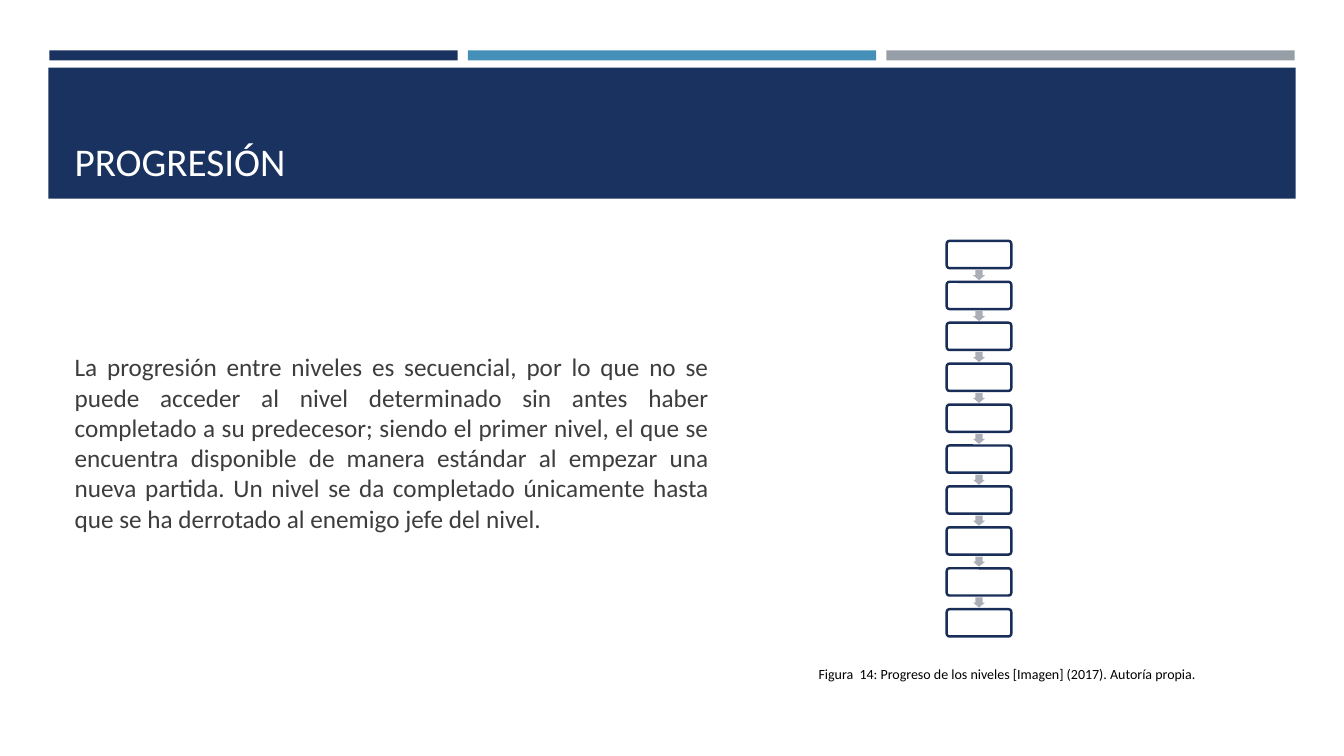
from pptx import Presentation
from pptx.dml.color import RGBColor
from pptx.enum.shapes import MSO_SHAPE
from pptx.enum.text import MSO_ANCHOR, MSO_AUTO_SIZE, PP_ALIGN
from pptx.oxml import parse_xml
from pptx.oxml.ns import nsdecls
from pptx.util import Inches, Pt

# Content
TITLE = "PROGRESIÓN"
BODY = (
    "La progresión entre niveles es secuencial, por lo que no se puede "
    "acceder al nivel determinado sin antes haber completado a su predecesor; "
    "siendo el primer nivel, el que se encuentra disponible de manera estándar "
    "al empezar una nueva partida. Un nivel se da completado únicamente hasta "
    "que se ha derrotado al enemigo jefe del nivel."
)
CAPTION = "Figura  14: Progreso de los niveles [Imagen] (2017). Autoría propia."
LEVELS = 10

# Colours
NAVY = RGBColor(0x1A, 0x32, 0x60)
BLUE = RGBColor(0x45, 0x90, 0xB8)
GRAY = RGBColor(0x96, 0x9F, 0xA7)
EDGE = RGBColor(0x18, 0x2D, 0x57)
ARROW = RGBColor(0xAC, 0xAE, 0xB7)
INK = RGBColor(0x3D, 0x3D, 0x3D)
WHITE = RGBColor(0xFF, 0xFF, 0xFF)
BLACK = RGBColor(0, 0, 0)

# Grid, in inches
WIDE, HIGH = 13.33, 7.5
LEFT, BAR, GAP = 0.49, 4.05, 0.1
MID, TOP, STEP = 9.71, 2.39, 0.406
BOX_W, BOX_H = 0.64, 0.27
ARR_W, ARR_H = 0.1, 0.12

deck = Presentation()
deck.slide_width, deck.slide_height = Inches(WIDE), Inches(HIGH)
slide = deck.slides.add_slide(deck.slide_layouts[1])


def place(item, x, y, w, h):
    item.left, item.top = Inches(x), Inches(y)
    item.width, item.height = Inches(w), Inches(h)


def draw(kind, x, y, w, h, fill, line=None, adj=()):
    part = slide.shapes.add_shape(kind, Inches(x), Inches(y), Inches(w), Inches(h))
    part.shadow.inherit = False
    part.fill.solid()
    part.fill.fore_color.rgb = fill
    if line is None:
        part.line.fill.background()
    else:
        part.line.color.rgb = line
        part.line.width = Pt(1.75)
    for i, value in enumerate(adj):
        part.adjustments[i] = value
    return part


def write(item, text, size, color, anchor=MSO_ANCHOR.TOP, align=PP_ALIGN.LEFT,
          fit=MSO_AUTO_SIZE.NONE, after=0):
    frame = item.text_frame
    frame.word_wrap, frame.auto_size = True, fit
    frame.vertical_anchor = anchor
    para = frame.paragraphs[0]
    para.alignment = align
    para.space_before, para.space_after = Pt(0), Pt(after)
    run = para.add_run()
    run.text = text
    run.font.name, run.font.size = "Calibri", Pt(size)
    run.font.color.rgb = color
    return para


# Top bars and title band
for i, color in enumerate((NAVY, BLUE, GRAY)):
    draw(MSO_SHAPE.RECTANGLE, LEFT + i * (BAR + GAP), 0.5, BAR, 0.1, color)
draw(MSO_SHAPE.RECTANGLE, 0.48, 0.67, 12.37, 1.3, NAVY)

# Title and body, brought in front of the band
title, body = slide.shapes.title, slide.placeholders[1]
for item in (title, body):
    item.element.getparent().append(item.element)
place(title, 0.64, 0.77, 12.06, 1.11)
write(title, TITLE, 28, WHITE, anchor=MSO_ANCHOR.BOTTOM)
place(body, 0.64, 2.38, 6.49, 4.02)
para = write(body, BODY, 18, INK, anchor=MSO_ANCHOR.MIDDLE,
             align=PP_ALIGN.JUSTIFY, after=6)
props = para._p.get_or_add_pPr()
props.set("marL", "0")
props.set("indent", "0")
props.append(parse_xml(f"<a:buNone {nsdecls('a')}/>"))

# Chain of levels
for i in range(LEVELS):
    y = TOP + i * STEP
    draw(MSO_SHAPE.ROUNDED_RECTANGLE, MID - BOX_W / 2, y, BOX_W, BOX_H,
         WHITE, line=EDGE, adj=(0.1,))
    if i < LEVELS - 1:
        arrow = draw(MSO_SHAPE.RIGHT_ARROW, MID - ARR_W / 2, y + 0.28,
                     ARR_W, ARR_H, ARROW, adj=(0.6, 0.5))
        arrow.rotation = 90

# Caption
note = slide.shapes.add_textbox(Inches(8.02), Inches(6.55), Inches(4.34), Inches(0.27))
write(note, CAPTION, 10, BLACK, fit=MSO_AUTO_SIZE.SHAPE_TO_FIT_TEXT)

deck.save("out.pptx")
